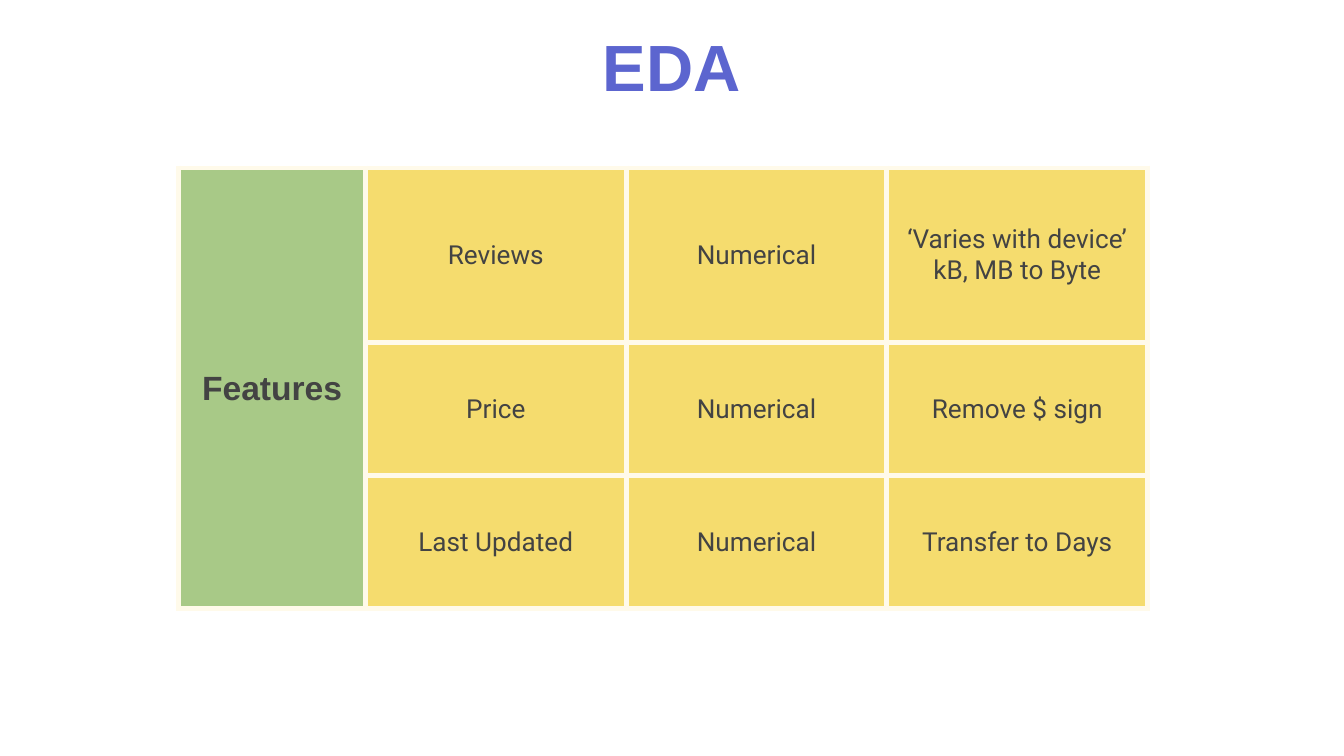
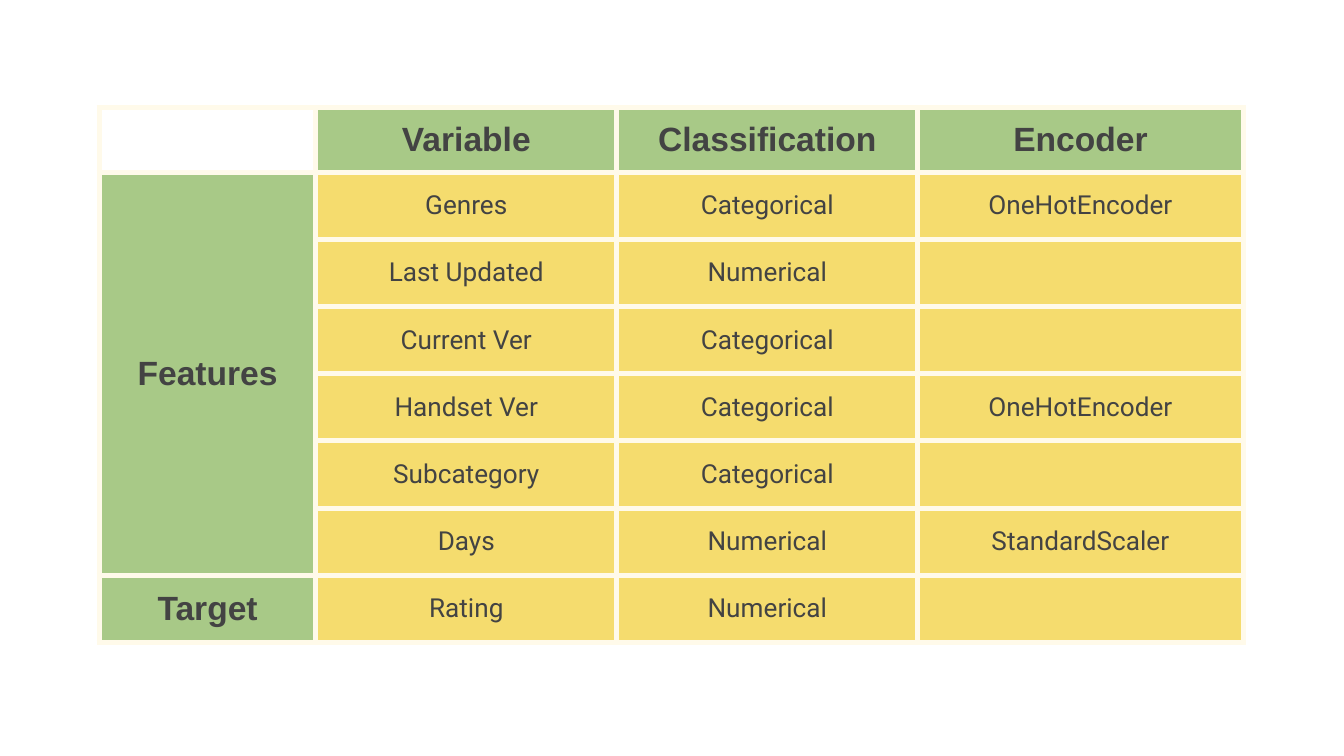
import dataclasses

import lxml.etree
import pptx
import pptx.dml.color
import pptx.enum.text
import pptx.oxml.ns
import pptx.presentation
import pptx.slide
import pptx.table
import pptx.text.text
import pptx.util

Inches = pptx.util.Inches
Pt = pptx.util.Pt

PAGE_WIDTH = 10
PAGE_HEIGHT = PAGE_WIDTH * 9 / 16

WHITE = "FFFFFF"
TITLE_BLUE = "5C65CF"
TEXT_GREY = "434343"
LABEL_GREEN = "A8C987"
VALUE_YELLOW = "F5DC6E"
BORDER_CREAM = "FFFAEA"

TITLE_ONLY_LAYOUT = 5
BLANK_LAYOUT = 6


@dataclasses.dataclass(frozen=True)
class TextStyle:
    font: str
    size: int
    bold: bool
    color: str


@dataclasses.dataclass(frozen=True)
class FeatureTable:
    left: float
    top: float
    column_widths: tuple[float, ...]
    row_heights: tuple[float, ...]
    rows: tuple[tuple[str, ...], ...]
    features_row: int
    features_span: int
    header_rows: int = 0


TITLE_STYLE = TextStyle("Arial", 35, True, TITLE_BLUE)
LABEL_STYLE = TextStyle("Arial", 18, True, TEXT_GREY)
VALUE_STYLE = TextStyle("Roboto", 14, False, TEXT_GREY)

CLEANING_TABLE = FeatureTable(
    left=1.33,
    top=1.25,
    column_widths=(1.39, 1.94, 1.94, 1.94),
    row_heights=(1.3, 0.99, 0.99),
    rows=(
        ("Features", "Reviews", "Numerical", "‘Varies with device’\nkB, MB to Byte"),
        ("", "Price", "Numerical", "Remove $ sign"),
        ("", "Last Updated", "Numerical", "Transfer to Days"),
    ),
    features_row=0,
    features_span=3,
)

ENCODING_TABLE = FeatureTable(
    left=0.74,
    top=0.8,
    column_widths=(1.61, 2.24, 2.24, 2.42),
    row_heights=(0.44,) + (0.5,) * 7,
    rows=(
        ("", "Variable", "Classification", "Encoder"),
        ("Features", "Genres", "Categorical", "OneHotEncoder"),
        ("", "Last Updated", "Numerical", ""),
        ("", "Current Ver", "Categorical", ""),
        ("", "Handset Ver", "Categorical", "OneHotEncoder"),
        ("", "Subcategory", "Categorical", ""),
        ("", "Days", "Numerical", "StandardScaler"),
        ("Target", "Rating", "Numerical", ""),
    ),
    features_row=1,
    features_span=6,
    header_rows=1,
)


def rgb(color: str) -> pptx.dml.color.RGBColor:
    return pptx.dml.color.RGBColor.from_string(color)


def write_text(frame: pptx.text.text.TextFrame, text: str, style: TextStyle) -> None:
    for index, line in enumerate(text.split("\n")):
        para = frame.paragraphs[0] if index == 0 else frame.add_paragraph()
        para.alignment = pptx.enum.text.PP_ALIGN.CENTER
        span = para.add_run()
        span.text = line
        span.font.name = style.font
        span.font.size = Pt(style.size)
        span.font.bold = style.bold
        span.font.color.rgb = rgb(style.color)


def set_margins(target: pptx.text.text.TextFrame | pptx.table._Cell) -> None:
    target.margin_left = target.margin_right = Inches(0.1)
    target.margin_top = target.margin_bottom = Inches(0.1)


def add_borders(cell: pptx.table._Cell) -> None:
    qn = pptx.oxml.ns.qn
    properties = cell._tc.get_or_add_tcPr()
    for side in ("lnL", "lnR", "lnT", "lnB"):
        line = lxml.etree.SubElement(properties, qn(f"a:{side}"), w=str(Pt(3)))
        fill = lxml.etree.SubElement(line, qn("a:solidFill"))
        lxml.etree.SubElement(fill, qn("a:srgbClr"), val=BORDER_CREAM)


def format_cell(cell: pptx.table._Cell, text: str, is_label: bool, is_corner: bool) -> None:
    add_borders(cell)
    if is_corner:
        cell.fill.background()
    else:
        cell.fill.solid()
        cell.fill.fore_color.rgb = rgb(LABEL_GREEN if is_label else VALUE_YELLOW)
    if text:
        set_margins(cell)
        cell.vertical_anchor = pptx.enum.text.MSO_ANCHOR.MIDDLE
        write_text(cell.text_frame, text, LABEL_STYLE if is_label else VALUE_STYLE)


def add_feature_table(page: pptx.slide.Slide, content: FeatureTable) -> None:
    table = page.shapes.add_table(
        len(content.row_heights),
        len(content.column_widths),
        Inches(content.left),
        Inches(content.top),
        Inches(sum(content.column_widths)),
        Inches(sum(content.row_heights)),
    ).table
    table.first_row = False
    table.horz_banding = False
    for column, width in zip(table.columns, content.column_widths):
        column.width = Inches(width)
    for row, height in zip(table.rows, content.row_heights):
        row.height = Inches(height)
    for row_index, texts in enumerate(content.rows):
        in_header = row_index < content.header_rows
        for column_index, text in enumerate(texts):
            in_label_column = column_index == 0
            format_cell(
                table.cell(row_index, column_index),
                text,
                is_label=in_header or in_label_column,
                is_corner=in_header and in_label_column,
            )
    last_row = content.features_row + content.features_span - 1
    table.cell(content.features_row, 0).merge(table.cell(last_row, 0))


def add_page(deck: pptx.presentation.Presentation, layout: int) -> pptx.slide.Slide:
    page = deck.slides.add_slide(deck.slide_layouts[layout])
    page.background.fill.solid()
    page.background.fill.fore_color.rgb = rgb(WHITE)
    return page


def set_title(page: pptx.slide.Slide, text: str) -> None:
    title = page.shapes.title
    title.left, title.top = Inches(0.87), Inches(0.05)
    title.width, title.height = Inches(8.26), Inches(0.83)
    frame = title.text_frame
    frame.auto_size = pptx.enum.text.MSO_AUTO_SIZE.NONE
    frame.vertical_anchor = pptx.enum.text.MSO_ANCHOR.BOTTOM
    set_margins(frame)
    write_text(frame, text, TITLE_STYLE)


def main() -> None:
    deck = pptx.Presentation()
    deck.slide_width = Inches(PAGE_WIDTH)
    deck.slide_height = Inches(PAGE_HEIGHT)

    cleaning_page = add_page(deck, TITLE_ONLY_LAYOUT)
    add_feature_table(cleaning_page, CLEANING_TABLE)
    set_title(cleaning_page, "EDA")

    encoding_page = add_page(deck, BLANK_LAYOUT)
    add_feature_table(encoding_page, ENCODING_TABLE)

    deck.save("out.pptx")


if __name__ == "__main__":
    main()
